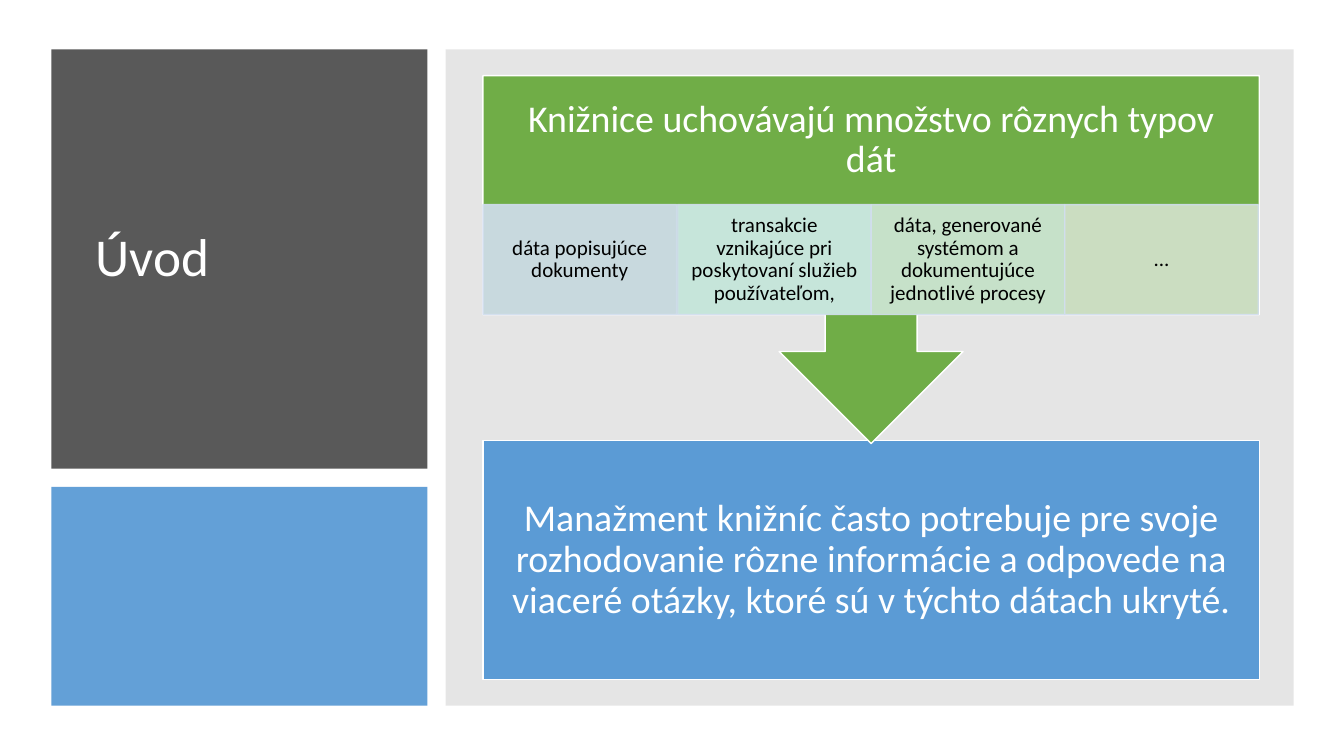
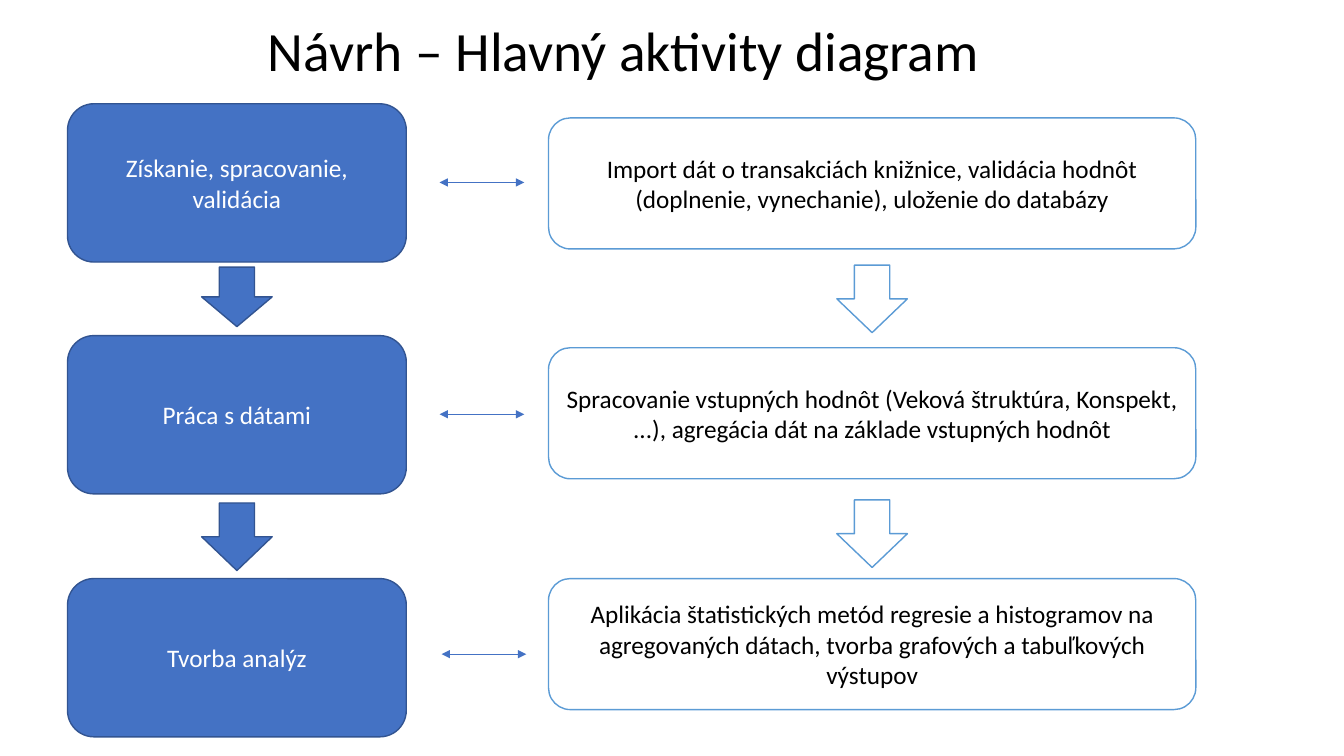
"""Build two slides on library data: an introduction and the main activity diagram."""
from lxml.etree import SubElement
from pptx import Presentation
from pptx.dml.color import RGBColor
from pptx.enum.shapes import MSO_CONNECTOR as Connector, MSO_SHAPE as Shape
from pptx.enum.text import MSO_ANCHOR as Anchor, PP_ALIGN as Align
from pptx.oxml.ns import qn
from pptx.util import Pt

PX = 9144
SLIDE_SIZE = (1333, 750)
FONT = "Calibri"
COLORS = {
    "white": "FFFFFF", "black": "000000", "dark": "595959", "gray": "808080",
    "sky": "5B9BD5", "green": "70AD47", "blue": "4472C4", "navy": "325491",
    "pale": "D2DEEF", "aqua": "D0ECEA", "mint": "D0E7D8", "sage": "D5E3CF",
}
STEP = {"fill": "blue", "line": "navy"}
DETAIL = {"fill": "white", "line": "sky"}
ARROW_WIDTH = 70


def rgb(name):
    """Return the palette colour as an RGBColor."""
    return RGBColor.from_string(COLORS[name])


def emu(box):
    """Turn px lengths into EMU."""
    return [length * PX for length in box]


def set_opacity(color_format_fill, percent):
    """Make a solid fill partly transparent."""
    color = color_format_fill.find(qn("a:solidFill"))[0]
    SubElement(color, qn("a:alpha"), val=str(percent * 1000))


def write(shape, text, size, color, align=Align.CENTER, spacing=0.9, insets=(10, 5, 10, 5)):
    """Put one styled paragraph into a shape."""
    frame = shape.text_frame
    frame.word_wrap = True
    frame.vertical_anchor = Anchor.MIDDLE
    frame.margin_left, frame.margin_top, frame.margin_right, frame.margin_bottom = emu(insets)
    paragraph = frame.paragraphs[0]
    paragraph.text = text
    paragraph.alignment = align
    paragraph.line_spacing = spacing
    paragraph.font.name = FONT
    paragraph.font.size = Pt(size)
    paragraph.font.color.rgb = rgb(color)


def add_block(slide, kind, box, fill, line=None, opacity=100):
    """Add a flat preset shape, with an outline if a line colour is given."""
    shape = slide.shapes.add_shape(kind, *emu(box))
    shape.shadow.inherit = False
    shape.fill.solid()
    shape.fill.fore_color.rgb = rgb(fill)
    if line:
        shape.line.color.rgb = rgb(line)
        shape.line.width = Pt(1)
    else:
        shape.line.fill.background()
    if opacity < 100:
        set_opacity(shape.element.spPr, opacity)
        if line:
            set_opacity(shape.element.spPr.find(qn("a:ln")), opacity)
    return shape


def add_title(slide, box, text, size, color):
    """Add a left-aligned slide title."""
    title = slide.shapes.add_textbox(*emu(box))
    write(title, text, size, color, Align.LEFT)


def add_double_arrow(slide, left, middle, width):
    """Add a thin horizontal line with an arrowhead at each end."""
    ends = emu((left, middle, left + width, middle))
    connector = slide.shapes.add_connector(Connector.STRAIGHT, *ends)
    connector.line.color.rgb = rgb("blue")
    connector.line.width = Pt(0.5)
    line = connector.line._get_or_add_ln()
    for end in ("a:headEnd", "a:tailEnd"):
        SubElement(line, qn(end), type="triangle")
    SubElement(connector.element.spPr, qn("a:effectLst"))


def add_title_panel(slide, box, title):
    """Add the dark title block with the blue block below it."""
    left, top, width, height = box
    dark_height, gap = 416, 18
    add_block(slide, Shape.RECTANGLE, (left, top, width, dark_height), "dark")
    add_title(slide, (left + 34, top + 31, width - 62, dark_height - 62), title, 38, "white")
    blue_top = dark_height + gap
    add_block(slide, Shape.RECTANGLE, (left, top + blue_top, width, height - blue_top),
              "sky", opacity=95)


def add_data_flow(slide, box, heading, kinds, conclusion):
    """Add the callout with its row of data kinds and the conclusion below."""
    left, top, width, height = box
    heading_height, kind_height, conclusion_height = 128, 109, 237
    result = add_block(slide, Shape.RECTANGLE,
                       (left, top + height - conclusion_height, width, conclusion_height),
                       "sky", "white")
    write(result, conclusion, 27, "white", insets=(21, 21, 21, 21))
    callout = add_block(slide, Shape.DOWN_ARROW_CALLOUT, (left, top, width, 365),
                        "green", "white")
    write(callout, heading, 27, "white", insets=(21, 21, 21, 21 + kind_height))
    kind_width = width / len(kinds)
    for index, (text, fill) in enumerate(kinds):
        kind_box = (round(left + index * kind_width), top + heading_height,
                    round(kind_width), kind_height)
        cell = add_block(slide, Shape.RECTANGLE, kind_box, fill, "pale", opacity=90)
        write(cell, text, 15, "black", insets=(12, 2, 12, 2))


def add_column(slide, box, style, text_color, steps, arrows):
    """Add a column of rounded boxes and the down arrows between them."""
    left, top, width, height = box
    for offset, text in steps:
        step = add_block(slide, Shape.ROUNDED_RECTANGLE,
                         (left, top + offset, width, height), **style)
        write(step, text, 18, text_color, spacing=1.0)
    for offset, arrow_height in arrows:
        add_block(slide, Shape.DOWN_ARROW,
                  (left + (width - ARROW_WIDTH) // 2, top + offset, ARROW_WIDTH, arrow_height),
                  **style)


def build_intro(slide):
    """Build the introduction slide."""
    add_title_panel(slide, (51, 49, 373, 651), "Úvod")
    add_block(slide, Shape.RECTANGLE, (442, 49, 841, 651), "gray", opacity=20)
    add_data_flow(
        slide, (479, 75, 770, 599),
        "Knižnice uchovávajú množstvo rôznych typov dát",
        [("dáta popisujúce dokumenty", "pale"),
         ("transakcie vznikajúce pri poskytovaní služieb používateľom,", "aqua"),
         ("dáta, generované systémom a dokumentujúce jednotlivé procesy", "mint"),
         ("...", "sage")],
        "Manažment knižníc často potrebuje pre svoje rozhodovanie rôzne informácie "
        "a odpovede na viaceré otázky, ktoré sú v týchto dátach ukryté.")


def build_activity_diagram(slide):
    """Build the activity diagram slide."""
    add_title(slide, (256, 20, 1000, 67), "Návrh – Hlavný aktivity diagram", 39.6, "black")
    add_column(
        slide, (67, 103, 336, 157), STEP, "white",
        [(0, "Získanie, spracovanie, validácia"),
         (230, "Práca s dátami"),
         (471, "Tvorba analýz")],
        [(162, 59), (396, 67)])
    add_column(
        slide, (544, 117, 642, 130), DETAIL, "black",
        [(0, "Import dát o transakciách knižnice, validácia hodnôt "
             "(doplnenie, vynechanie), uloženie do databázy"),
         (228, "Spracovanie vstupných hodnôt (Veková štruktúra, Konspekt, ...), "
               "agregácia dát na základe vstupných hodnôt"),
         (457, "Aplikácia štatistických metód regresie a histogramov na agregovaných "
               "dátach, tvorba grafových a tabuľkových výstupov")],
        [(146, 67), (379, 67)])
    for left, middle in ((436, 181), (436, 411), (438, 649)):
        add_double_arrow(slide, left, middle, 84)


def main():
    """Create the presentation and save it."""
    presentation = Presentation()
    presentation.slide_width, presentation.slide_height = emu(SLIDE_SIZE)
    blank = presentation.slide_layouts[6]
    for build in (build_intro, build_activity_diagram):
        build(presentation.slides.add_slide(blank))
    presentation.save("out.pptx")


if __name__ == "__main__":
    main()
